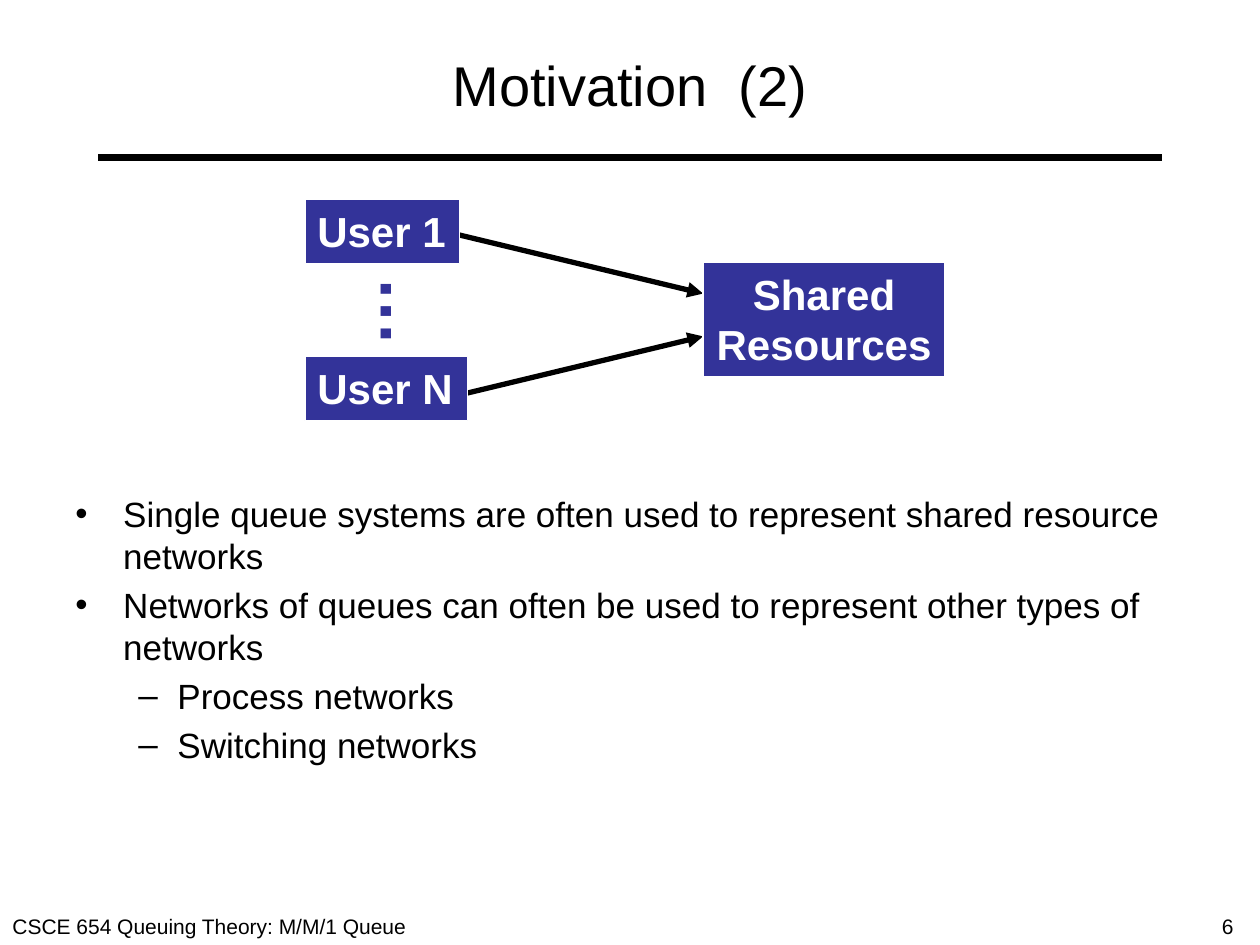
"""Build the Motivation slide: users sharing resources, with notes on queue networks."""
from dataclasses import dataclass

from lxml.etree import SubElement
from pptx import Presentation
from pptx.dml.color import RGBColor
from pptx.enum.shapes import MSO_CONNECTOR as Connector, MSO_SHAPE as Shape
from pptx.enum.text import MSO_ANCHOR as Anchor, PP_ALIGN as Align
from pptx.oxml.ns import qn
from pptx.util import Inches, Pt


@dataclass(frozen=True)
class Theme:
    font: str = "Arial"
    black: RGBColor = RGBColor(0x00, 0x00, 0x00)
    white: RGBColor = RGBColor(0xFF, 0xFF, 0xFF)
    blue: RGBColor = RGBColor(0x33, 0x33, 0x99)
    title: int = 32
    body: int = 20
    label: int = 24
    dots: int = 40
    footer: int = 12


theme = Theme()


def write(shape, text, size, color=theme.black, bold=False, align=Align.LEFT,
          wrap=True, anchor=Anchor.TOP, bullet=None, margin=0, hanging=0, level=0, before=0):
    frame = shape.text_frame
    frame.word_wrap = wrap
    frame.vertical_anchor = anchor
    paragraph = frame.add_paragraph() if frame.text else frame.paragraphs[0]
    paragraph.text = text
    paragraph.alignment = align
    paragraph.level = level
    paragraph.space_before = Pt(before)
    if bullet:
        properties = paragraph._p.get_or_add_pPr()
        properties.set("marL", str(Inches(margin)))
        properties.set("indent", str(-Inches(hanging)))
        SubElement(properties, qn("a:buFont"), typeface=theme.font)
        SubElement(properties, qn("a:buChar"), char=bullet)
    for run in paragraph.runs:
        run.font.name = theme.font
        run.font.size = Pt(size)
        run.font.bold = bold
        run.font.color.rgb = color


def connect(shapes, start, end, width, arrow=False):
    connector = shapes.add_connector(Connector.STRAIGHT, *map(Inches, start + end))
    connector.line.color.rgb = theme.black
    connector.line.width = Pt(width)
    if arrow:
        SubElement(connector.line._get_or_add_ln(), qn("a:tailEnd"), type="triangle")
    SubElement(connector._element.spPr, qn("a:effectLst"))


presentation = Presentation()
presentation.slide_width = Inches(10)
presentation.slide_height = Inches(7.5)
slide = presentation.slides.add_slide(presentation.slide_layouts[6])
shapes = slide.shapes

connect(shapes, (0.78, 1.25), (9.22, 1.25), 4.5)

for text, left, width in [("6", 9.6, 0.4), ("CSCE 654 Queuing Theory: M/M/1 Queue", 0, 4.08)]:
    footer = shapes.add_textbox(Inches(left), Inches(7.2), Inches(width), Inches(0.3))
    write(footer, text, theme.footer)

title = shapes.add_textbox(Inches(0.5), Inches(0.17), Inches(9), Inches(1))
write(title, "Motivation  (2)", theme.title, align=Align.CENTER, anchor=Anchor.MIDDLE)

body = shapes.add_textbox(Inches(0.5), Inches(3.86), Inches(9), Inches(2.84))
bullet_styles = [
    {"bullet": "•", "margin": 0.38, "hanging": 0.38, "level": 0},
    {"bullet": "–", "margin": 0.81, "hanging": 0.31, "level": 1},
]
points = [
    (0, "Single queue systems are often used to represent shared resource networks"),
    (0, "Networks of queues can often be used to represent other types of networks"),
    (1, "Process networks"),
    (1, "Switching networks"),
]
for index, (level, text) in enumerate(points):
    write(body, text, theme.body, before=4 if index else 0, **bullet_styles[level])

for start_y, end_y in [(3.17, 2.67), (1.83, 2.33)]:
    connect(shapes, (3.5, start_y), (5.58, end_y), 3, arrow=True)

boxes = [
    ("Shared\nResources", 5.58, 2.08, 1.92, 0.91, Align.CENTER),
    ("User 1", 2.42, 1.58, 1.23, 0.51, Align.LEFT),
    ("User N", 2.42, 2.83, 1.29, 0.51, Align.LEFT),
]
for text, left, top, width, height, align in boxes:
    box = shapes.add_shape(Shape.RECTANGLE, *map(Inches, (left, top, width, height)))
    box.shadow.inherit = False
    box.fill.solid()
    box.fill.fore_color.rgb = theme.blue
    box.line.color.rgb = theme.white
    box.line.width = Pt(0.75)
    write(box, text, theme.label, color=theme.white, bold=True, align=align, wrap=False)

dots = shapes.add_textbox(Inches(2.51), Inches(2.08), Inches(0.76), Inches(0.77))
dots.rotation = 270
write(dots, "…", theme.dots, color=theme.blue, bold=True, wrap=False)

presentation.save("out.pptx")
